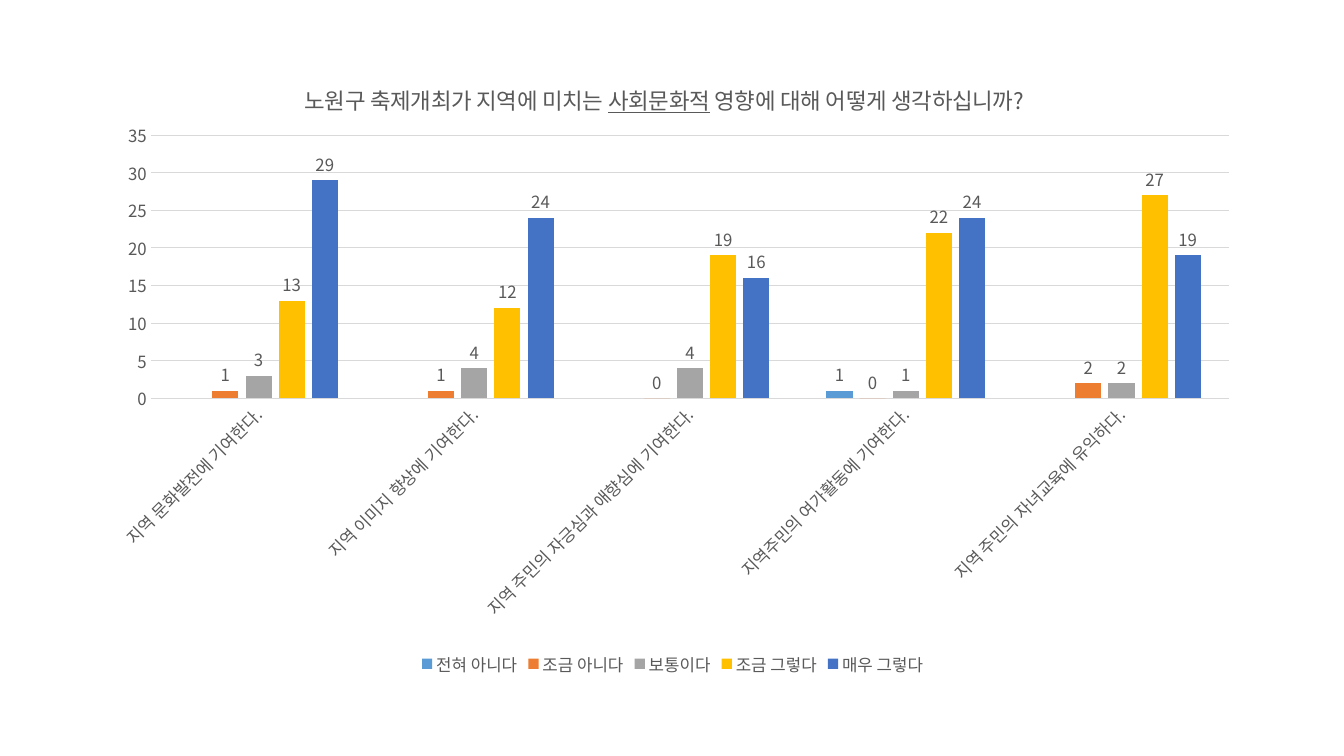
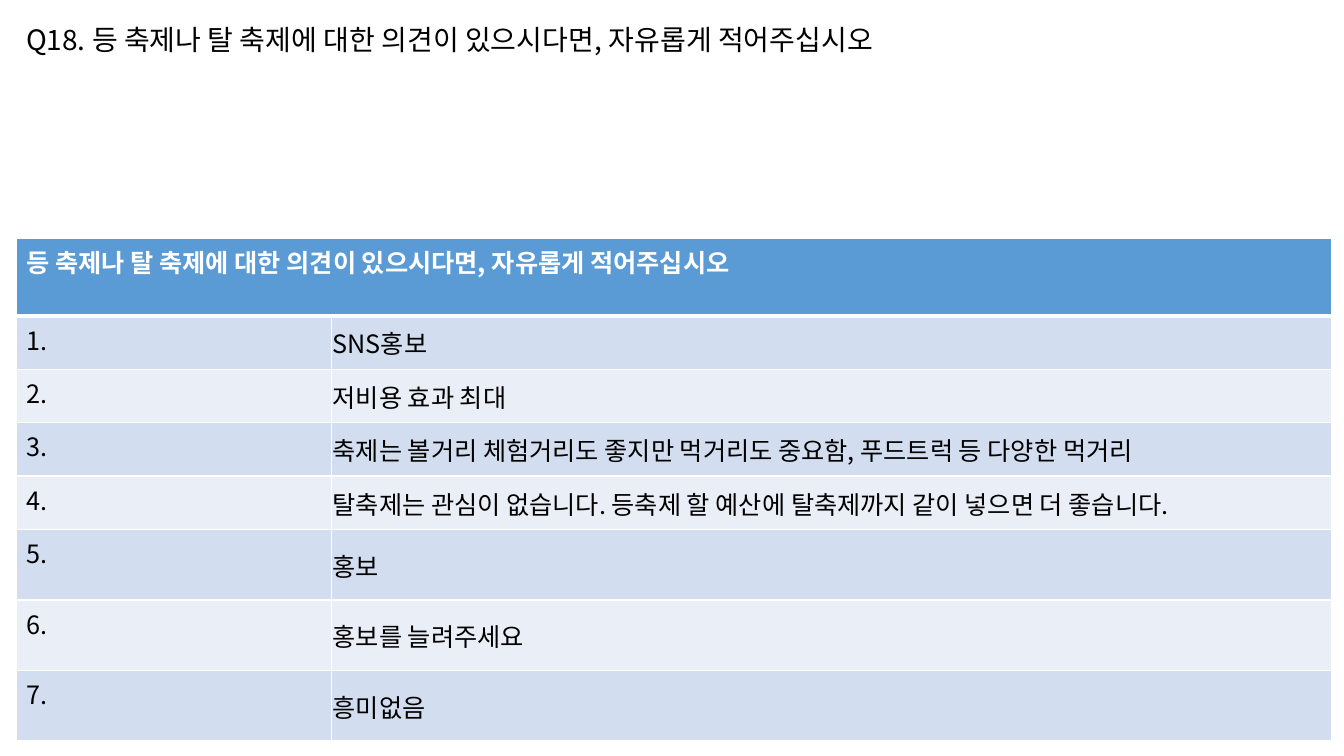
"""Build a survey chart slide and a table slide of free-text answers."""
import lxml.etree
import pptx
import pptx.chart.data
import pptx.dml.color
import pptx.enum.chart
import pptx.enum.text
import pptx.oxml.ns
import pptx.util

FONT = "Noto Sans CJK KR"
COLORS = {
    "black": "000000", "white": "FFFFFF", "gray": "595959", "grid": "D9D9D9",
    "header": "5B9BD5", "odd": "D2DEEF", "even": "EAEFF7",
}
QUESTION = "등 축제나 탈 축제에 대한 의견이 있으시다면, 자유롭게 적어주십시오"
qn = pptx.oxml.ns.qn


def style(font, size, color, bold=False):
    font.size = pptx.util.Pt(size)
    font.bold = bold
    font.color.rgb = pptx.dml.color.RGBColor.from_string(COLORS[color])
    font.name = FONT


def place(parent, settings):
    layout = parent.find(qn("c:layout"))
    if layout is None:
        layout = lxml.etree.Element(qn("c:layout"))
        parent.insert(0, layout)
    manual = lxml.etree.SubElement(layout, qn("c:manualLayout"))
    for tag, value in settings.items():
        lxml.etree.SubElement(manual, qn(f"c:{tag}"), val=str(value))


deck = pptx.Presentation()
deck.slide_width = pptx.util.Inches(13.33)
deck.slide_height = pptx.util.Inches(7.5)
width, height = deck.slide_width, deck.slide_height
blank = deck.slide_layouts[6]

chart_page = deck.slides.add_slide(blank)
series_rows = [
    ("전혀 아니다", "5B9BD5", (None, None, None, 1, None)),
    ("조금 아니다", "ED7D31", (1, 1, 0, 0, 2)),
    ("보통이다", "A5A5A5", (3, 4, 4, 1, 2)),
    ("조금 그렇다", "FFC000", (13, 12, 19, 22, 27)),
    ("매우 그렇다", "4472C4", (29, 24, 16, 24, 19)),
]
data = pptx.chart.data.CategoryChartData()
data.categories = [
    "지역 문화발전에 기여한다.",
    "지역 이미지 향상에 기여한다.",
    "지역 주민의 자긍심과 애향심에 기여한다.",
    "지역주민의 여가활동에 기여한다.",
    "지역 주민의 자녀교육에 유익하다.",
]
for name, color, values in series_rows:
    data.add_series(name, values)
chart = chart_page.shapes.add_chart(
    pptx.enum.chart.XL_CHART_TYPE.COLUMN_CLUSTERED,
    int(width * 0.069), int(height * 0.071), int(width * 0.863), int(height * 0.829), data,
).chart
style(chart.font, 12, "gray")

para = chart.chart_title.text_frame.paragraphs[0]
for text, underline in [
    ("노원구 축제개최가 지역에 미치는 ", False),
    ("사회문화적", True),
    (" 영향에 대해 어떻게 생각하십니까?", False),
]:
    span = para.add_run()
    span.text = text
    style(span.font, 16, "gray")
    span.font.underline = underline
chart.chart_title.include_in_layout = False
place(chart.element.find(".//" + qn("c:title")),
      {"xMode": "edge", "yMode": "edge", "x": 0.18, "y": 0.04})
place(chart.element.find(".//" + qn("c:plotArea")),
      {"layoutTarget": "inner", "xMode": "edge", "yMode": "edge",
       "x": 0.05, "y": 0.13, "w": 0.93, "h": 0.42})

chart.has_legend = True
chart.legend.position = pptx.enum.chart.XL_LEGEND_POSITION.BOTTOM
chart.legend.include_in_layout = False
style(chart.legend.font, 12, "gray")

for axis in (chart.category_axis, chart.value_axis):
    axis.major_tick_mark = pptx.enum.chart.XL_TICK_MARK.NONE
    axis.minor_tick_mark = pptx.enum.chart.XL_TICK_MARK.NONE
    style(axis.tick_labels.font, 12, "gray")
value_axis = chart.value_axis
value_axis.minimum_scale, value_axis.maximum_scale, value_axis.major_unit = 0, 35, 5
value_axis.format.line.fill.background()
for line in (chart.category_axis.format.line, value_axis.major_gridlines.format.line):
    line.width = pptx.util.Pt(0.75)
    line.color.rgb = pptx.dml.color.RGBColor.from_string(COLORS["grid"])
label_body = chart.element.find(".//" + qn("c:catAx")).find(".//" + qn("a:bodyPr"))
label_body.set("rot", "-2700000")
label_body.set("vert", "horz")

plot = chart.plots[0]
plot.vary_by_categories = False
plot.gap_width, plot.overlap = 219, -27
for series, (name, color, values) in zip(plot.series, series_rows):
    series.format.fill.solid()
    series.format.fill.fore_color.rgb = pptx.dml.color.RGBColor.from_string(color)
    labels = series.data_labels
    labels.show_value = True
    labels.position = pptx.enum.chart.XL_LABEL_POSITION.OUTSIDE_END
    style(labels.font, 12, "gray")

table_page = deck.slides.add_slide(blank)
left = int(width * 0.012)
answers = [
    "SNS홍보",
    "저비용 효과 최대",
    "축제는 볼거리 체험거리도 좋지만 먹거리도 중요함, 푸드트럭 등 다양한 먹거리",
    "탈축제는 관심이 없습니다. 등축제 할 예산에 탈축제까지 같이 넣으면 더 좋습니다.",
    "홍보",
    "홍보를 늘려주세요",
    "흥미없음",
]
row_heights = [0.77] + [0.53] * 4 + [0.7] * 3
column_widths = [3.13, 9.92]
table = table_page.shapes.add_table(
    len(row_heights), len(column_widths), left, int(height * 0.315),
    pptx.util.Inches(sum(column_widths)), pptx.util.Inches(sum(row_heights)),
).table
for column, length in zip(table.columns, column_widths):
    column.width = pptx.util.Inches(length)
for row, length in zip(table.rows, row_heights):
    row.height = pptx.util.Inches(length)
table.cell(0, 0).merge(table.cell(0, 1))

table_rows = [(QUESTION, "")] + [(f"{number}.", answer) for number, answer in enumerate(answers, 1)]
for row_index, texts in enumerate(table_rows):
    header = row_index == 0
    fill = "header" if header else ("odd" if row_index % 2 else "even")
    for column_index, text in enumerate(texts):
        cell = table.cell(row_index, column_index)
        cell.fill.solid()
        cell.fill.fore_color.rgb = pptx.dml.color.RGBColor.from_string(COLORS[fill])
        if text:
            para = cell.text_frame.paragraphs[0]
            para.text = text
            style(para.runs[0].font, 18, "white" if header else "black", header)
        if column_index and not header:
            cell.vertical_anchor = pptx.enum.text.MSO_ANCHOR.MIDDLE
            cell.margin_left = cell.margin_top = cell.margin_right = pptx.util.Inches(0.01)
            cell.margin_bottom = 0
        properties = cell._tc.get_or_add_tcPr()
        for position, side in enumerate(("lnL", "lnR", "lnT", "lnB")):
            thick = (header and side == "lnB") or (row_index == 1 and side == "lnT")
            border = lxml.etree.Element(qn(f"a:{side}"), w=str(pptx.util.Pt(3 if thick else 1)))
            paint = lxml.etree.SubElement(border, qn("a:solidFill"))
            lxml.etree.SubElement(paint, qn("a:srgbClr"), val=COLORS["white"])
            properties.insert(position, border)

box = table_page.shapes.add_textbox(left, int(height * 0.023), int(width * 0.72), int(height * 0.058))
box.text_frame.word_wrap = False
box.text_frame.auto_size = pptx.enum.text.MSO_AUTO_SIZE.SHAPE_TO_FIT_TEXT
para = box.text_frame.paragraphs[0]
para.text = f"Q18. {QUESTION}"
style(para.runs[0].font, 20, "black")

for root in (chart.element, table_page.element):
    for latin in list(root.iter(qn("a:latin"))):
        latin.addnext(lxml.etree.Element(qn("a:ea"), typeface=FONT))

deck.save("out.pptx")
